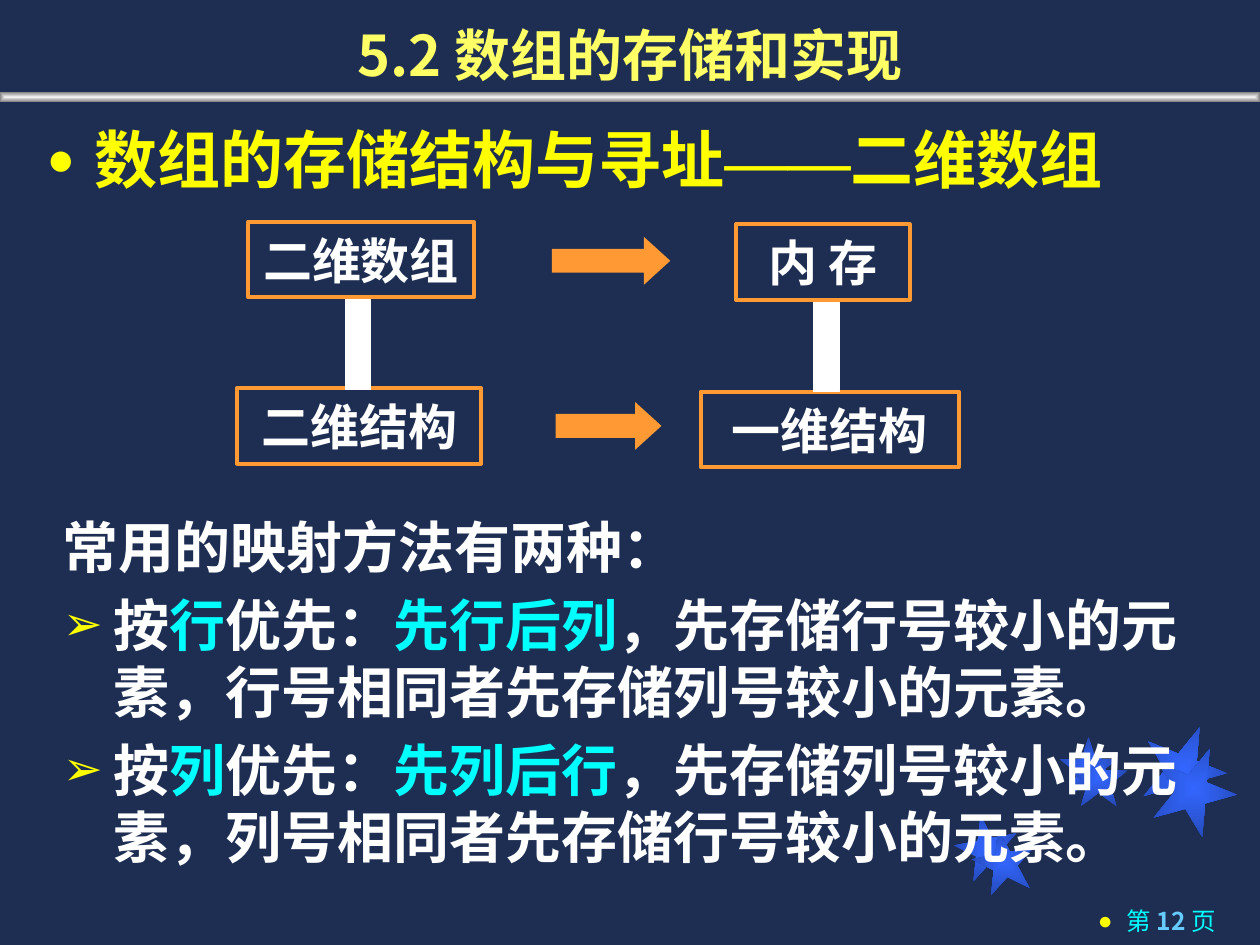
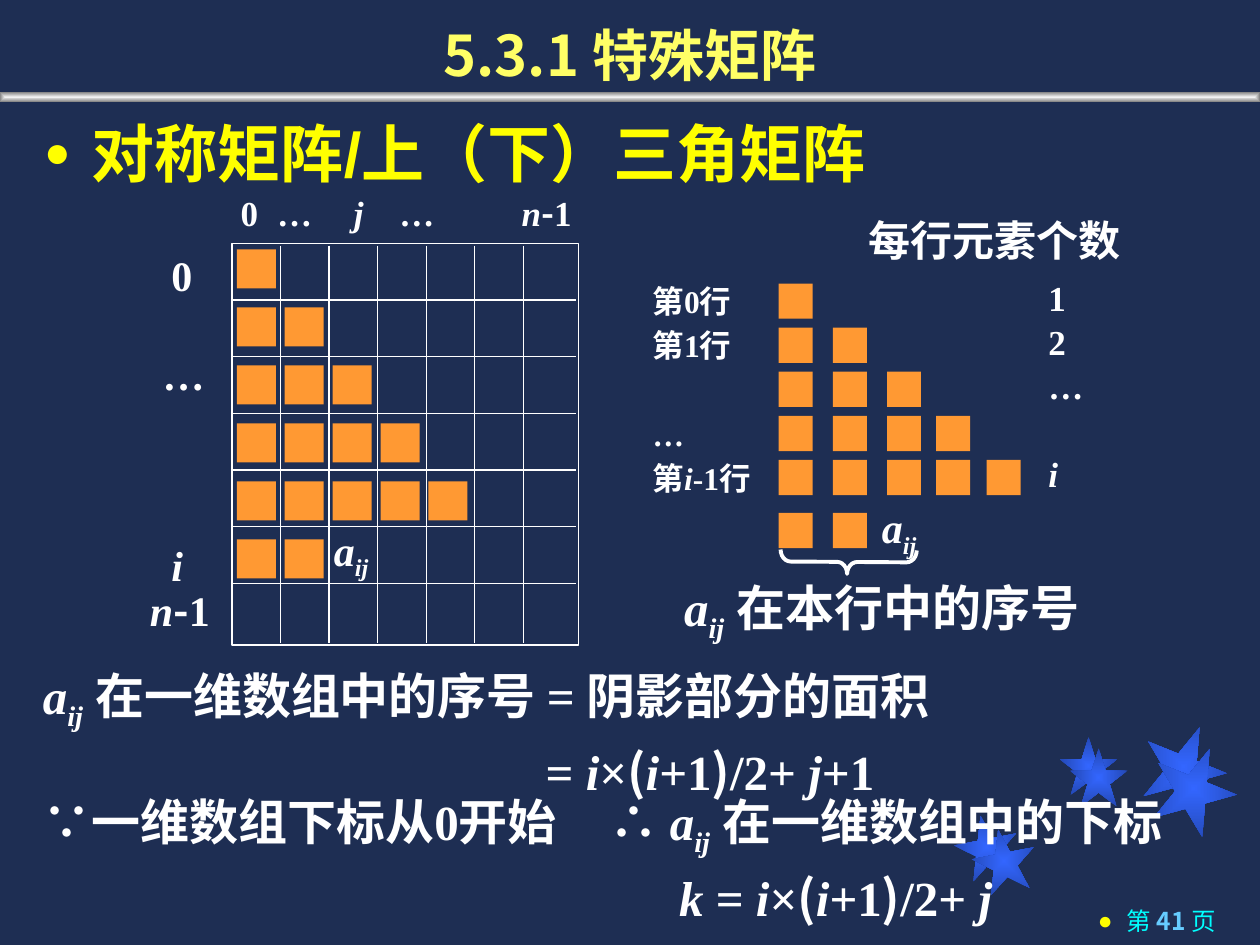
from dataclasses import dataclass, replace

from lxml.etree import SubElement
from pptx import Presentation
from pptx.dml.color import RGBColor
from pptx.enum.shapes import MSO_CONNECTOR, MSO_SHAPE as Shape
from pptx.enum.text import MSO_ANCHOR as Anchor, MSO_AUTO_SIZE, PP_ALIGN as Align
from pptx.oxml.ns import qn
from pptx.util import Inches, Pt


@dataclass(frozen=True)
class Theme:
    background: str = "1E2E53"
    title: str = "FFFF66"
    heading: str = "FFFF00"
    text: str = "FFFFFF"
    accent: str = "00FFFF"
    page_number: str = "66CCFF"
    orange: str = "FF9933"
    star: tuple = ("3366FF", "2449B6")
    band: tuple = ("F2F2F2", "808080")
    sans: str = "Noto Sans CJK SC"
    serif: str = "Times New Roman"
    arial: str = "Arial"
    heading_size: int = 36
    title_size: int = 32
    formula_size: int = 28
    label_size: int = 24
    index_size: int = 20
    row_size: int = 18
    footer_size: int = 14


THEME = Theme()


@dataclass(frozen=True)
class Style:
    size: int
    color: str = THEME.text
    font: str = THEME.serif
    bold: bool = True
    italic: bool = False
    subscript: bool = False
    sans: bool = False
    serif: bool = False
    accent: bool = False


TITLE = Style(THEME.title_size, THEME.title, THEME.sans)
HEADING = Style(THEME.heading_size, THEME.heading, THEME.arial)
BODY = Style(THEME.title_size)
BOX = Style(THEME.formula_size, font=THEME.arial)
FORMULA = Style(THEME.formula_size)
LABEL = Style(THEME.label_size)
INDEX = Style(THEME.index_size)
ROW = Style(THEME.row_size)
FOOTER = Style(THEME.footer_size, THEME.page_number, THEME.sans)

TOGGLES = {"*": "italic", "_": "subscript", "`": "sans", "|": "serif",
           "~": "accent", "!": "bold"}
STARS = [(7.58, 6.47, 0.5, 349), (8.41, 5.85, 0.46, 0), (9.06, 5.75, 0.67, 22),
         (7.72, 6.58, 0.5, 349), (8.49, 5.94, 0.46, 0), (9.14, 5.92, 0.67, 22)]


def rgb(color):
    return RGBColor.from_string(color)


def inches(*lengths):
    return [Inches(length) for length in lengths]


def parse_markup(markup, style):
    """Split text into (text, style) runs; each TOGGLES mark flips one property."""
    runs = []
    for character in markup:
        if character in TOGGLES:
            field = TOGGLES[character]
            style = replace(style, **{field: not getattr(style, field)})
        elif runs and runs[-1][1] == style:
            runs[-1] = (runs[-1][0] + character, style)
        else:
            runs.append((character, style))
    return runs


def write(paragraph, markup, style):
    for text, look in parse_markup(markup, style):
        run = paragraph.add_run()
        run.text = text
        font = run.font
        font.size, font.bold, font.italic = Pt(look.size), look.bold, look.italic
        font.color.rgb = rgb(THEME.accent if look.accent else look.color)
        font.name = THEME.sans if look.sans else THEME.serif if look.serif else look.font
        properties = run._r.get_or_add_rPr()
        east_asian = THEME.serif if look.serif else THEME.sans
        SubElement(properties, qn("a:ea"), typeface=east_asian)
        if look.subscript:
            properties.set("baseline", "-25000")


def set_indent(paragraph, left, hanging=0):
    properties = paragraph._p.get_or_add_pPr()
    properties.set("marL", str(Inches(left)))
    properties.set("indent", str(-Inches(hanging)))
    return properties


def add_bullet(paragraph, character, percent, indent):
    properties = set_indent(paragraph, indent, indent)
    color = SubElement(properties, qn("a:buClr"))
    SubElement(color, qn("a:srgbClr"), val=THEME.heading)
    SubElement(properties, qn("a:buSzPct"), val=str(percent * 1000))
    SubElement(properties, qn("a:buFont"), typeface=THEME.arial)
    SubElement(properties, qn("a:buChar"), char=character)


def add_tab_stop(paragraph, position):
    tabs = SubElement(paragraph._p.get_or_add_pPr(), qn("a:tabLst"))
    SubElement(tabs, qn("a:tab"), pos=str(Inches(position)), algn="l")


def prepare_frame(shape, anchor=Anchor.TOP, margins=(0, 0)):
    frame = shape.text_frame
    frame.word_wrap = True
    frame.auto_size = MSO_AUTO_SIZE.NONE
    frame.vertical_anchor = anchor
    frame.margin_left = frame.margin_right = Inches(margins[0])
    frame.margin_top = frame.margin_bottom = Inches(margins[1])
    return frame


def add_text_frame(slide, at, **options):
    return prepare_frame(slide.shapes.add_textbox(*inches(*at)), **options)


def add_label(slide, left, middle, markup, style, width=1.0):
    """Put one line of text with its vertical middle at the given height."""
    frame = add_text_frame(slide, (left, middle - 0.25, width, 0.5), anchor=Anchor.MIDDLE)
    write(frame.paragraphs[0], markup, style)


def add_shape(slide, preset, at, fill=None, line=None, line_width=0.75):
    shape = slide.shapes.add_shape(preset, *inches(*at))
    shape.shadow.inherit = False
    if isinstance(fill, tuple):
        fill_from_center(shape, fill)
    elif fill:
        shape.fill.solid()
        shape.fill.fore_color.rgb = rgb(fill)
    else:
        shape.fill.background()
    if line:
        shape.line.color.rgb = rgb(line)
        shape.line.width = Pt(line_width)
    else:
        shape.line.fill.background()
    return shape


def fill_from_center(shape, colors):
    shape.fill.gradient()
    for stop, color in zip(shape.fill.gradient_stops, colors):
        stop.color.rgb = rgb(color)
    gradient = shape._element.spPr.find(qn("a:gradFill"))
    gradient.remove(gradient.find(qn("a:lin")))
    shading = SubElement(gradient, qn("a:path"), path="shape")
    SubElement(shading, qn("a:fillToRect"), {side: "50000" for side in "ltrb"})


def add_line(slide, *ends):
    line = slide.shapes.add_connector(MSO_CONNECTOR.STRAIGHT, *inches(*ends))
    line.line.color.rgb = rgb(THEME.text)
    line.line.width = Pt(0.75)
    SubElement(line._element.spPr, qn("a:effectLst"))


def fill_placeholder(placeholder, at, anchor, markup, style):
    placeholder.left, placeholder.top, placeholder.width, placeholder.height = inches(*at)
    paragraph = prepare_frame(placeholder, anchor, (0.1, 0.05)).paragraphs[0]
    paragraph.space_before = Pt(0)
    write(paragraph, markup, style)
    return paragraph


def add_slide(presentation, title, heading, heading_at, bullet_percent, page):
    slide = presentation.slides.add_slide(presentation.slide_layouts[1])
    for left, top, size, rotation in STARS:
        star = add_shape(slide, Shape.STAR_5_POINT, (left, top, size, size), THEME.star)
        star.rotation = rotation
    add_shape(slide, Shape.RECTANGLE, (0, 0.73, 10, 0.08), THEME.band)

    footer = add_text_frame(slide, (7.12, 7.14, 2.63, 0.36), margins=(0.1, 0.05)).paragraphs[0]
    add_bullet(footer, "●", 100, 0.23)
    footer.alignment = Align.RIGHT
    write(footer, f"~!第 ~!{page} ~!页", FOOTER)

    name, body = slide.placeholders
    paragraph = fill_placeholder(name, (0, 0, 10, 0.75), Anchor.BOTTOM, title, TITLE)
    paragraph.alignment = Align.CENTER
    paragraph = fill_placeholder(body, heading_at, Anchor.TOP, heading, HEADING)
    add_bullet(paragraph, "●", bullet_percent, 0.38)
    paragraph.line_spacing = 1.1
    # Placeholders belong in front of the stars and the band
    for placeholder in (name, body):
        slide.shapes._spTree.append(placeholder._element)
    return slide


def add_framed_text(slide, at, text):
    box = add_shape(slide, Shape.RECTANGLE, at, line=THEME.orange, line_width=2.25)
    paragraph = prepare_frame(box, Anchor.MIDDLE).paragraphs[0]
    paragraph.alignment = Align.CENTER
    write(paragraph, text, BOX)


def add_staircase(slide, lefts, tops, counts, size):
    """Draw a row of squares at each top, as many as its count."""
    for top, count in zip(tops, counts):
        for left in lefts[:count]:
            add_shape(slide, Shape.RECTANGLE, (left, top, *size), THEME.orange)


def build_storage_slide(presentation):
    slide = add_slide(presentation, "5.2 数组的存储和实现",
                      "数组的存储结构与寻址|——|二维数组", (0.27, 0.85, 9.4, 0.89), 75, 12)
    frame = add_text_frame(slide, (0.4, 4.02, 9.23, 2.98), margins=(0.1, 0.05))
    methods = ["常用的映射方法有两种：",
               "按~行~优先：~先行后列~，先存储行号较小的元素，行号相同者先存储列号较小的元素。",
               "按~列~优先：~先列后行~，先存储列号较小的元素，列号相同者先存储行号较小的元素。"]
    for index, method in enumerate(methods):
        paragraph = frame.add_paragraph() if index else frame.paragraphs[0]
        if index:
            add_bullet(paragraph, "➢", 85, 0.4)
            paragraph.space_before = Pt(6)
        paragraph.line_spacing = Pt(38.4)
        write(paragraph, method, BODY)

    add_framed_text(slide, (1.97, 1.76, 1.79, 0.6), "二维数组")
    add_framed_text(slide, (5.84, 1.78, 1.38, 0.6), "内 存")
    add_framed_text(slide, (1.88, 3.08, 1.94, 0.6), "二维结构")
    add_framed_text(slide, (5.56, 3.11, 2.05, 0.6), "一维结构")
    for at in [(4.38, 1.88, 0.94, 0.38), (4.41, 3.19, 0.84, 0.38)]:
        arrow = add_shape(slide, Shape.RIGHT_ARROW, at, THEME.orange)
        arrow.adjustments[1] = 0.55
    for left, top in [(2.74, 2.38), (6.46, 2.4)]:
        add_shape(slide, Shape.RECTANGLE, (left, top, 0.2, 0.71), THEME.text, THEME.text, 0.5)


def add_matrix(slide):
    left, top, width, height = 1.84, 1.93, 2.75, 3.19
    add_shape(slide, Shape.RECTANGLE, (left, top, width, height), line=THEME.text)
    for index in range(1, 7):
        row, column = top + 0.45 * index, left + 2.7 / 7 * index
        add_line(slide, left, row, left + width - 0.02, row)
        add_line(slide, column, top + 0.02, column, top + height - 0.02)
    add_staircase(slide, [1.88 + 0.38 * column for column in range(5)],
                  [1.98 + 0.46 * row for row in range(6)], (1, 2, 3, 4, 5, 2), (0.31, 0.31))
    add_label(slide, 2.65, 4.39, "*a_ij", LABEL)
    for row_left, middle, text in [(1.36, 2.18, "0"), (1.29, 2.97, "…"),
                                   (1.36, 4.48, "*i"), (1.19, 4.84, "*n*`-`1")]:
        add_label(slide, row_left, middle, text, LABEL)
    for column_left, text in [(1.91, "0"), (2.2, "…"), (2.81, "*j"), (3.17, "…"),
                              (4.14, "*n*`-`1")]:
        add_label(slide, column_left, 1.69, text, INDEX)


def add_row_counts(slide):
    add_label(slide, 6.89, 1.9, "每行元素个数", LABEL, 2.21)
    row_tops = [2.25 + 0.35 * row for row in range(5)]
    add_staircase(slide, (6.18, 6.61, 7.04, 7.43, 7.83), row_tops + [4.07],
                  (1, 2, 3, 4, 5, 2), (0.27, 0.28))
    for top, text in zip(row_tops, ("1", "2", "…", "", "*i")):
        if text:
            add_label(slide, 8.32, top + 0.11, text, INDEX)
    for top, text in zip(row_tops, ("第0行", "第1行", "", "…", "第*i*-1行")):
        if text:
            add_label(slide, 5.18, top + 0.14, text, ROW)
    add_label(slide, 7, 4.21, "*a_ij", LABEL)
    brace = add_shape(slide, Shape.LEFT_BRACE, (6.64, 3.92, 0.19, 1.08),
                      line=THEME.text, line_width=2.25)
    brace.rotation = 270.4
    brace.adjustments[0], brace.adjustments[1] = 0.42, 0.49
    add_label(slide, 5.43, 4.85, "*a_ij_* 在本行中的序号", FORMULA, 3.41)


def add_derivation(slide):
    frame = add_text_frame(slide, (0.3, 5.26, 9.49, 2.07), margins=(0.04, 0.01))
    lines = [(0, 39, "*a_ij_* 在一维数组中的序号 = 阴影部分的面积"),
             (3.99, 39, "= *i*×`(`*i*+1`)`/2+ *j*+1"),
             (0, 33, "∵一维数组下标从0开始\t∴ *a_ij_* 在一维数组中的下标"),
             (5.05, 39, "*k* = *i*×`(`*i*+1`)`/2+ *j")]
    for index, (indent, spacing, text) in enumerate(lines):
        paragraph = frame.add_paragraph() if index else frame.paragraphs[0]
        set_indent(paragraph, indent)
        if "\t" in text:
            add_tab_stop(paragraph, 4.66)
        paragraph.line_spacing = Pt(spacing)
        write(paragraph, text, FORMULA)


def build_matrix_slide(presentation):
    slide = add_slide(presentation, "5.3.1 特殊矩阵", "对称矩阵/上（下）三角矩阵",
                      (0.25, 0.8, 9.46, 0.69), 70, 41)
    add_derivation(slide)
    add_matrix(slide)
    add_row_counts(slide)


def main():
    presentation = Presentation()
    presentation.slide_width, presentation.slide_height = inches(10, 7.5)
    background = presentation.slide_master.background.fill
    background.solid()
    background.fore_color.rgb = rgb(THEME.background)
    build_storage_slide(presentation)
    build_matrix_slide(presentation)
    presentation.save("out.pptx")


if __name__ == "__main__":
    main()
